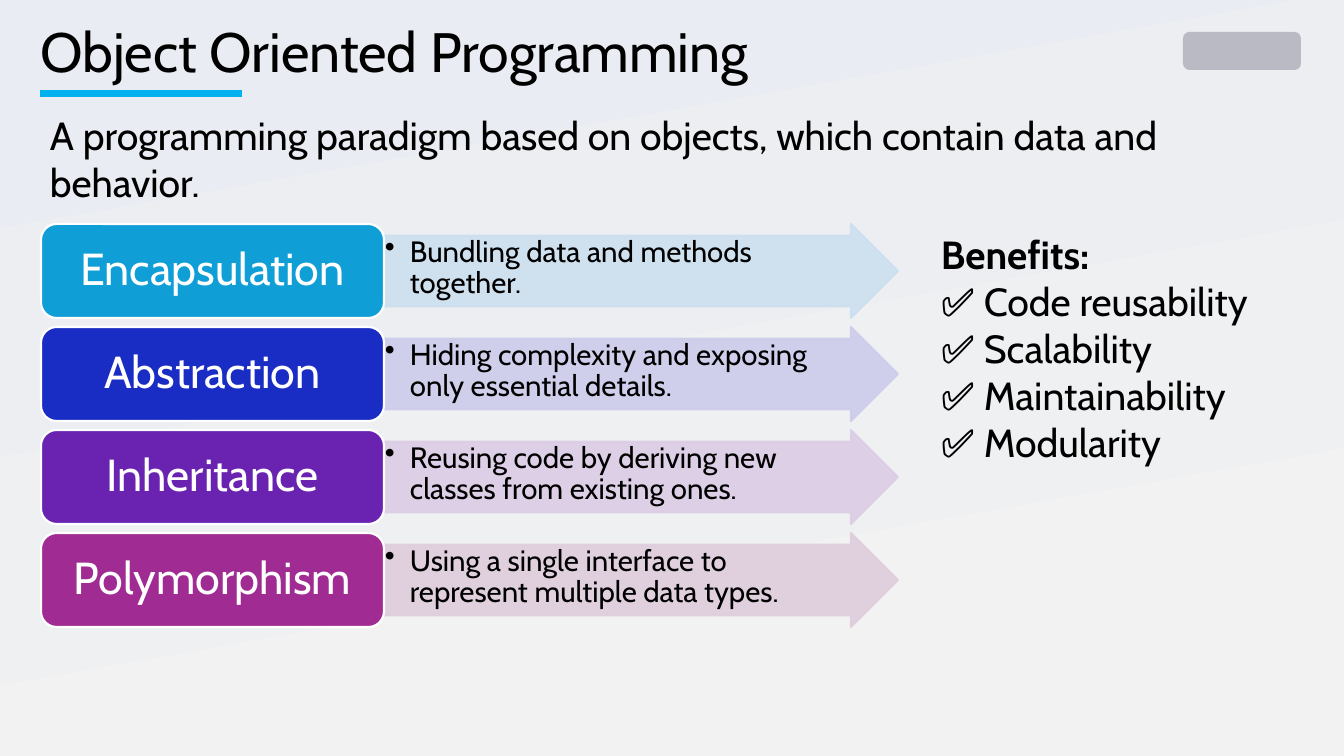
"""Build the Object Oriented Programming slide with its four principles and benefits."""

from dataclasses import dataclass, field
from typing import Any

from lxml.etree import SubElement
from pptx import Presentation
from pptx.dml.color import RGBColor
from pptx.enum.shapes import MSO_CONNECTOR, MSO_SHAPE
from pptx.enum.text import MSO_ANCHOR, PP_ALIGN
from pptx.oxml.ns import qn
from pptx.shapes.autoshape import Shape
from pptx.slide import Slide
from pptx.text.text import _Paragraph
from pptx.util import Emu, Pt

SLIDE_WIDTH, SLIDE_HEIGHT = 1344, 756
EMU_PER_PX = 12192000 / SLIDE_WIDTH
FONT_NAME = "Cabin"
COLORS = {
    "ink": "000000",
    "white": "FFFFFF",
    "accent": "00B1F0",
    "mark": "9798A5",
    "background_top": "E9ECF2",
    "background_bottom": "F2F2F2",
}
ROW_TOP, ROW_PITCH, ROW_HEIGHT = 224, 103, 94
LABEL_LEFT, LABEL_WIDTH, ARROW_WIDTH = 41, 343, 514
BULLET_INDENT = 25


@dataclass(frozen=True)
class Box:
    left: int
    top: int
    width: int
    height: int


@dataclass(frozen=True)
class TextStyle:
    size: float
    color: str = COLORS["ink"]
    insets: tuple[int, int, int, int] = (10, 5, 10, 5)
    anchor: MSO_ANCHOR = MSO_ANCHOR.TOP
    paragraph: dict[str, Any] = field(default_factory=dict)


@dataclass(frozen=True)
class TextBlock:
    box: Box
    paragraphs: tuple[str, ...]
    style: TextStyle
    bold_first: bool = False


@dataclass(frozen=True)
class Principle:
    name: str
    description: str
    label_color: str
    arrow_color: str


LABEL_STYLE = TextStyle(
    32, COLORS["white"], (13, 7, 13, 7), MSO_ANCHOR.MIDDLE,
    {"alignment": PP_ALIGN.CENTER, "line_spacing": 0.9},
)
DESCRIPTION_STYLE = TextStyle(
    21, insets=(1, 1, 23, 1),
    paragraph={"alignment": PP_ALIGN.LEFT, "line_spacing": 0.9},
)
PRINCIPLES = (
    Principle("Encapsulation", "Bundling data and methods together.", "0F9ED5", "CCDFEF"),
    Principle("Abstraction", "Hiding complexity and exposing only essential details.", "192CC3", "CDCCEB"),
    Principle("Inheritance", "Reusing code by deriving new classes from existing ones.", "6A22B1", "DCCDE5"),
    Principle("Polymorphism", "Using a single interface to represent multiple data types.", "A02B93", "DFCDDC"),
)
TEXT_BLOCKS = (
    TextBlock(
        Box(40, 25, 1119, 52),
        ("Object Oriented Programming",),
        TextStyle(39.6, insets=(0, 0, 0, 0), paragraph={"line_spacing": 0.9}),
    ),
    TextBlock(
        Box(40, 106, 1268, 105),
        ("A programming paradigm based on objects, which contain data and behavior.",),
        TextStyle(28),
    ),
    TextBlock(
        Box(931, 225, 374, 248),
        ("Benefits:", "✅ Code reusability\v✅ Scalability\v✅ Maintainability\v✅ Modularity"),
        TextStyle(28),
        bold_first=True,
    ),
)


def px(value: int) -> Emu:
    return Emu(round(value * EMU_PER_PX))


def place(box: Box) -> tuple[Emu, Emu, Emu, Emu]:
    return px(box.left), px(box.top), px(box.width), px(box.height)


def set_attributes(target: Any, values: dict[str, Any]) -> None:
    for name, value in values.items():
        setattr(target, name, value)


def write_text(shape: Shape, paragraphs: tuple[str, ...], style: TextStyle, bold_first: bool = False) -> None:
    frame = shape.text_frame
    sides = ("margin_left", "margin_top", "margin_right", "margin_bottom")
    margins = dict(zip(sides, map(px, style.insets)))
    set_attributes(frame, {"word_wrap": True, "vertical_anchor": style.anchor, **margins})
    for index, text in enumerate(paragraphs):
        paragraph = frame.add_paragraph() if index else frame.paragraphs[0]
        paragraph.text = text
        set_attributes(paragraph, style.paragraph)
        font_values = {"name": FONT_NAME, "size": Pt(style.size), "bold": bold_first and index == 0}
        for run in paragraph.runs:
            set_attributes(run.font, font_values)
            run.font.color.rgb = RGBColor.from_string(style.color)


def add_bullet(paragraph: _Paragraph) -> None:
    properties = paragraph._p.get_or_add_pPr()
    properties.set("marL", str(px(BULLET_INDENT)))
    properties.set("indent", str(-px(BULLET_INDENT)))
    SubElement(properties, qn("a:buChar"), char="•")


def add_filled_shape(
    slide: Slide, kind: MSO_SHAPE, box: Box, fill: str, line: str | None = None, opacity: int = 100
) -> Shape:
    shape = slide.shapes.add_shape(kind, *place(box))
    shape.shadow.inherit = False
    shape.fill.solid()
    shape.fill.fore_color.rgb = RGBColor.from_string(fill)
    if line:
        shape.line.color.rgb = RGBColor.from_string(line)
        shape.line.width = Pt(1.5)
    else:
        shape.line.fill.background()
    if opacity < 100:
        for color in shape._element.spPr.iter(qn("a:srgbClr")):
            SubElement(color, qn("a:alpha"), val=str(opacity * 1000))
    return shape


def add_principle(slide: Slide, principle: Principle, top: int) -> None:
    arrow_box = Box(LABEL_LEFT + LABEL_WIDTH, top, ARROW_WIDTH, ROW_HEIGHT)
    arrow = add_filled_shape(
        slide, MSO_SHAPE.RIGHT_ARROW, arrow_box, principle.arrow_color, principle.arrow_color, 90
    )
    arrow.adjustments[0] = 0.75
    write_text(arrow, (principle.description,), DESCRIPTION_STYLE)
    add_bullet(arrow.text_frame.paragraphs[0])
    label_box = Box(LABEL_LEFT, top, LABEL_WIDTH, ROW_HEIGHT)
    label = add_filled_shape(
        slide, MSO_SHAPE.ROUNDED_RECTANGLE, label_box, principle.label_color, COLORS["white"]
    )
    write_text(label, (principle.name,), LABEL_STYLE)


def paint_background(slide: Slide) -> None:
    fill = slide.background.fill
    fill.gradient()
    fill.gradient_angle = 280
    stops = ((0, "background_top"), (0.92, "background_bottom"))
    for stop, (position, color) in zip(fill.gradient_stops, stops):
        stop.position = position
        stop.color.rgb = RGBColor.from_string(COLORS[color])


def add_title_rule(slide: Slide) -> None:
    rule = slide.shapes.add_connector(MSO_CONNECTOR.STRAIGHT, px(40), px(94), px(242), px(94))
    rule.line.color.rgb = RGBColor.from_string(COLORS["accent"])
    rule.line.width = Pt(5)
    SubElement(rule._element.spPr, qn("a:effectLst"))


def main() -> None:
    presentation = Presentation()
    set_attributes(presentation, {"slide_width": px(SLIDE_WIDTH), "slide_height": px(SLIDE_HEIGHT)})
    slide = presentation.slides.add_slide(presentation.slide_layouts[6])
    paint_background(slide)
    add_title_rule(slide)
    add_filled_shape(slide, MSO_SHAPE.ROUNDED_RECTANGLE, Box(1183, 32, 118, 38), COLORS["mark"], opacity=60)
    for block in TEXT_BLOCKS:
        text_box = slide.shapes.add_textbox(*place(block.box))
        write_text(text_box, block.paragraphs, block.style, block.bold_first)
    for row, principle in enumerate(PRINCIPLES):
        add_principle(slide, principle, ROW_TOP + row * ROW_PITCH)
    presentation.save("out.pptx")


if __name__ == "__main__":
    main()
